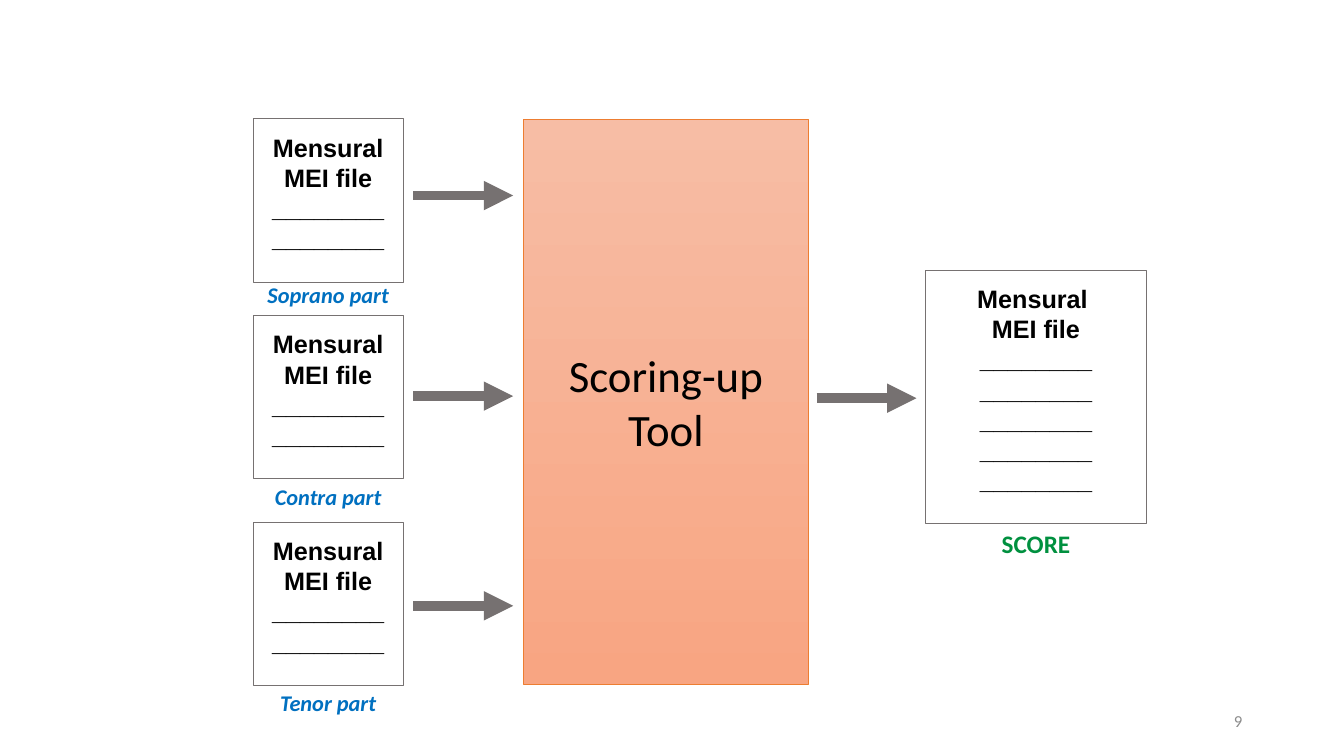
import pptx
import pptx.dml.color
import pptx.enum.shapes
import pptx.enum.text
import pptx.oxml.ns
import pptx.util
import lxml.etree
from pptx.util import Inches

ALIGN = pptx.enum.text.PP_ALIGN
ANCHOR = pptx.enum.text.MSO_ANCHOR


def color(hex_string):
    return pptx.dml.color.RGBColor.from_string(hex_string)


class Diagram:
    gray = "767171"
    black = "000000"

    def __init__(self, slide):
        self.shapes = slide.shapes

    def add_lines(self, frame, lines, size, font, ink, bold=False, italic=False,
                  align=ALIGN.CENTER, anchor=ANCHOR.TOP):
        frame.word_wrap = True
        frame.vertical_anchor = anchor
        for index, line in enumerate(lines):
            paragraph = frame.add_paragraph() if index else frame.paragraphs[0]
            paragraph.alignment = align
            run = paragraph.add_run()
            run.text = line
            run.font.size = pptx.util.Pt(size)
            run.font.name = font
            run.font.bold = bold
            run.font.italic = italic
            run.font.color.rgb = color(ink)

    def box(self, left, top, width, height, outline, weight):
        box = self.shapes.add_shape(
            pptx.enum.shapes.MSO_SHAPE.RECTANGLE,
            Inches(left), Inches(top), Inches(width), Inches(height))
        box.shadow.inherit = False
        box.fill.background()
        box.line.color.rgb = color(outline)
        box.line.width = pptx.util.Pt(weight)
        return box

    def mei_file(self, left, top, width, height, heading, staves):
        page = self.box(left, top, width, height, self.gray, 0.75)
        page.text_frame.margin_top = Inches(0.13)
        self.add_lines(page.text_frame, heading + ["________"] * staves,
                       18, "Arial", self.black, bold=True)

    def tool(self, left, top, width, height, lines):
        tool = self.box(left, top, width, height, "ED7D31", 0.5)
        tool.fill.gradient()
        tool.fill.gradient_angle = 270
        for stop, shade, position in zip(
                tool.fill.gradient_stops, ("F7BDA5", "F8A582"), (0, 1)):
            stop.color.rgb = color(shade)
            stop.position = position
        self.add_lines(tool.text_frame, lines, 32, "Calibri", self.black,
                       anchor=ANCHOR.MIDDLE)

    def label(self, left, top, width, height, text, size, ink, **style):
        label = self.shapes.add_textbox(
            Inches(left), Inches(top), Inches(width), Inches(height))
        self.add_lines(label.text_frame, [text], size, "Calibri", ink, **style)

    def arrow(self, left, y, length=0.99):
        arrow = self.shapes.add_connector(
            pptx.enum.shapes.MSO_CONNECTOR.STRAIGHT,
            Inches(left), Inches(y), Inches(left + length), Inches(y))
        arrow.line.color.rgb = color(self.gray)
        arrow.line.width = pptx.util.Pt(7)
        qn = pptx.oxml.ns.qn
        properties = arrow.element.spPr
        lxml.etree.SubElement(properties.find(qn("a:ln")), qn("a:tailEnd"),
                              type="triangle")
        lxml.etree.SubElement(properties, qn("a:effectLst"))


def main():
    deck = pptx.Presentation()
    deck.slide_width = Inches(13.33)
    deck.slide_height = Inches(7.5)
    diagram = Diagram(deck.slides.add_slide(deck.slide_layouts[6]))

    part_left, part_width, part_height = 2.51, 1.49, 1.62
    parts = [("Soprano part", 1.18, 2.74, 1.94),
             ("Contra part", 3.13, 4.74, 3.93),
             ("Tenor part", 5.18, 6.79, 6.01)]
    for part, page_top, label_top, arrow_y in parts:
        diagram.mei_file(part_left, page_top, part_width, part_height,
                         ["Mensural MEI file"], 2)
        diagram.label(part_left, label_top, part_width, 0.37, part,
                      16, "0070C0", bold=True, italic=True)
        diagram.arrow(4.1, arrow_y)

    diagram.tool(5.19, 1.18, 2.83, 5.61, ["Scoring-up", "Tool"])
    diagram.arrow(8.1, 3.95)

    score_left, score_top, score_width, score_height = 9.18, 2.68, 2.19, 2.51
    diagram.mei_file(score_left, score_top, score_width, score_height,
                     ["Mensural ", "MEI file"], 5)
    diagram.label(score_left, score_top + score_height, score_width, 0.4,
                  "SCORE", 18, "00903F", bold=True)
    diagram.label(9.42, 6.95, 3, 0.4, "9", 12, "8C8C8C",
                  align=ALIGN.RIGHT, anchor=ANCHOR.MIDDLE)

    deck.save("out.pptx")


if __name__ == "__main__":
    main()
